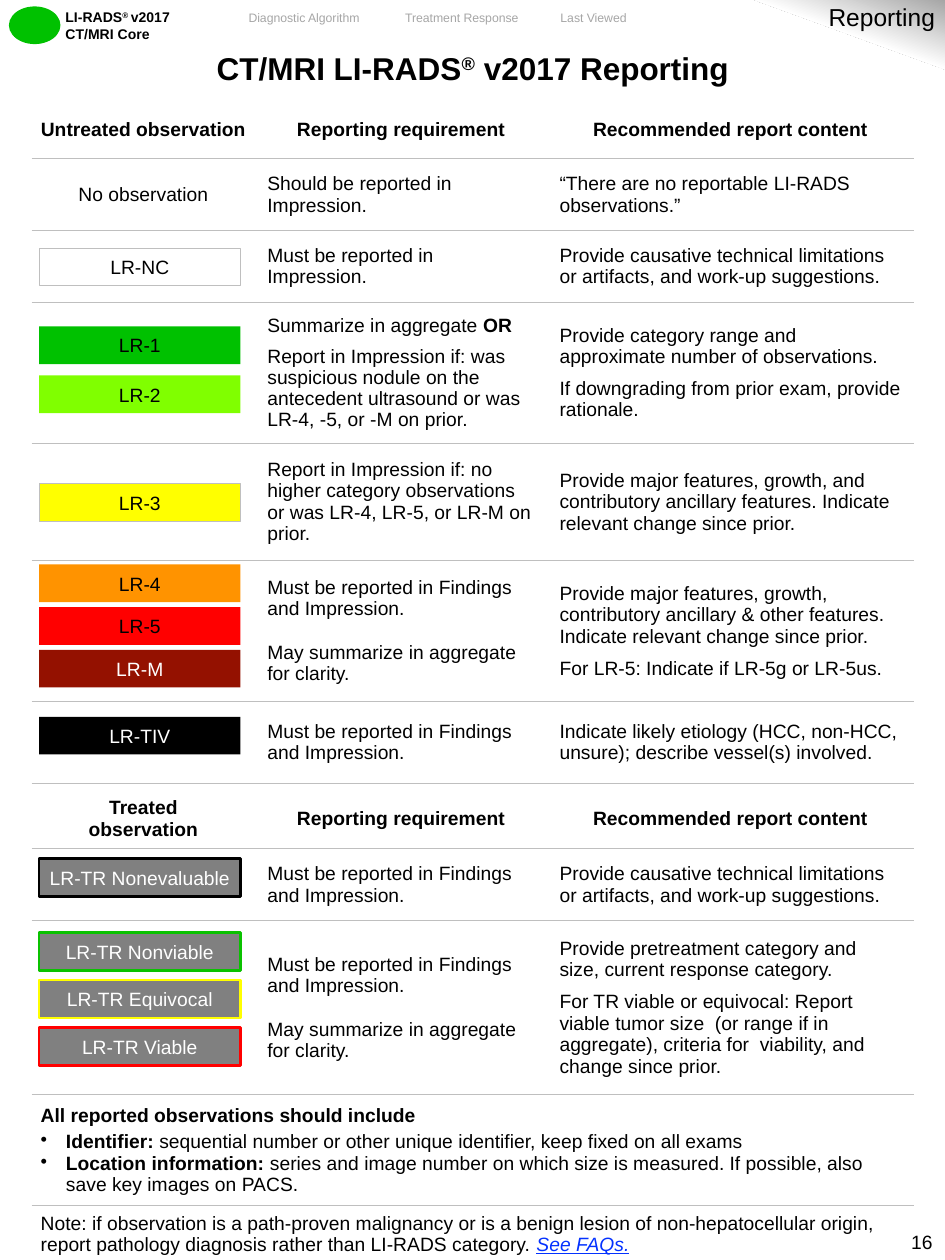
from lxml.etree import SubElement
from pptx import Presentation
from pptx.dml.color import RGBColor
from pptx.enum.shapes import MSO_SHAPE as Shape
from pptx.enum.text import MSO_ANCHOR as Anchor, PP_ALIGN as Align
from pptx.oxml.ns import qn
from pptx.util import Cm, Pt

COLORS = {
    "ink": "000000", "paper": "FFFFFF", "nav": "A6A6A6", "rule": "BFBFBF", "link": "0432FF",
    "green": "00C100", "lime": "80FF00", "yellow": "FFFF00", "orange": "FF9300",
    "red": "FF0000", "maroon": "941100", "gray": "808080", "edge green": "0AC200",
}
COLUMNS = [4.5, 5.89, 7.39]
BADGE_W, BADGE_H, BADGE_INSET = 4.06, 0.76, 0.15
BOLD = {"bold": True}


def rgb(name):
    return RGBColor.from_string(COLORS[name])


def para(*runs, before=0, after=0, line=None, bullet=False):
    """Describe a paragraph; a run is a string or a (string, format) pair."""
    return {"runs": runs, "before": before, "after": after, "line": line, "bullet": bullet}


def style_run(run, size, color, bold=False, italic=False, underline=False, raised=False):
    font = run.font
    font.name, font.size, font.bold = "Arial", Pt(size), bold
    font.italic, font.underline = italic, underline
    font.color.rgb = rgb(color)
    if raised:
        run._r.get_or_add_rPr().set("baseline", "30000")


def write(holder, *paragraphs, size=11, color="ink", bold=False, align=Align.LEFT,
          anchor=Anchor.MIDDLE, margins=(0.25, 0.13, 0.25, 0.13), wrap=True):
    """Fill a shape, text box or table cell; margins run left, top, right, bottom."""
    frame = holder.text_frame
    box = holder if hasattr(holder, "margin_left") else frame
    box.margin_left, box.margin_top, box.margin_right, box.margin_bottom = map(Cm, margins)
    box.vertical_anchor = anchor
    box.word_wrap = wrap
    for i, item in enumerate(paragraphs):
        item = para(item) if isinstance(item, str) else item
        line = frame.paragraphs[0] if i == 0 else frame.add_paragraph()
        line.alignment = align
        line.space_before, line.space_after = Pt(item["before"]), Pt(item["after"])
        if item["line"]:
            line.line_spacing = Pt(item["line"])
        if item["bullet"]:
            props = line._p.get_or_add_pPr()
            props.set("marL", str(Cm(0.51)))
            props.set("indent", str(-Cm(0.51)))
            SubElement(props, qn("a:buChar")).set("char", "•")
        for part in item["runs"]:
            words, extra = (part, {}) if isinstance(part, str) else part
            run = line.add_run()
            run.text = words
            style_run(run, **{"size": size, "color": color, "bold": bold, **extra})


def add_label(slide, box, *paragraphs, **options):
    write(slide.shapes.add_textbox(*map(Cm, box)), *paragraphs, **options)


def add_plain_shape(slide, kind, box, fill=None, line=None, width=0.25):
    shape = slide.shapes.add_shape(kind, *map(Cm, box))
    shape.shadow.inherit = False
    if fill:
        shape.fill.solid()
        shape.fill.fore_color.rgb = rgb(fill)
    if line:
        shape.line.color.rgb = rgb(line)
        shape.line.width = Pt(width)
    else:
        shape.line.fill.background()
    return shape


def badge(label, fill, color="ink", line=None, width=0.25):
    return {"label": label, "fill": fill, "color": color, "line": line, "width": width}


def treated(label, line):
    return badge(label, "gray", "paper", line, 1.5)


# Table content
FINDINGS = "Must be reported in Findings and Impression."
SUMMARIZE = para("May summarize in aggregate for clarity.", before=12.65)
LIMITATIONS = "Provide causative technical limitations or artifacts, and work-up suggestions."
REGISTERED = ("®", {"raised": True})


def header(height, *name):
    return {"height": height, "header": name,
            "cells": [["Reporting requirement"], ["Recommended report content"]]}


def category(height, requirement, content, badges=(), offset=0, pitch=0):
    return {"height": height, "cells": [requirement, content],
            "badges": badges, "offset": offset, "pitch": pitch}


def banner(height, *paragraphs, **options):
    return {"height": height, "banner": paragraphs, "options": options}


NOTE_MARGINS = (0.18, 0.13, 0.18, 0.13)
ROWS = [
    banner(1.14, para("CT/MRI LI-RADS", REGISTERED, " v2017 Reporting"), size=18, bold=True,
           align=Align.CENTER, margins=(0.25, 0, 0.25, 0.38)),
    header(1.04, "Untreated observation"),
    category(1.45, ["Should be reported in Impression."],
             ["“There are no reportable LI-RADS observations.”"]),
    category(1.45, ["Must be reported in", "Impression."], [LIMITATIONS],
             [badge("LR-NC", "paper", line="rule")], 0.35),
    category(2.84,
             [para("Summarize in aggregate ", ("OR", BOLD), after=6, line=12),
              para("Report in Impression if: was suspicious nodule on the antecedent ultrasound "
                   "or was LR-4, -5, or -M on prior.", after=6, line=12)],
             [para("Provide category range and approximate number of observations.",
                   after=6, line=12),
              para("If downgrading from prior exam, provide rationale.", after=6, line=12)],
             [badge("LR-1", "green"), badge("LR-2", "lime")], 0.48, 0.99),
    category(2.36, ["Report in Impression if: no higher category observations or was LR-4, LR-5, "
                    "or LR-M on prior."],
             ["Provide major features, growth, and contributory ancillary features. "
              "Indicate relevant change since prior."],
             [badge("LR-3", "yellow", line="rule")], 0.81),
    category(2.84, [FINDINGS, SUMMARIZE],
             ["Provide major features, growth, contributory ancillary & other features. "
              "Indicate relevant change since prior.",
              para("For LR-5: Indicate if LR-5g or LR-5us.", before=6)],
             [badge("LR-4", "orange"), badge("LR-5", "red"), badge("LR-M", "maroon", "paper")],
             0.08, 0.86),
    category(1.65, [FINDINGS],
             ["Indicate likely etiology (HCC, non-HCC, unsure); describe vessel(s) involved."],
             [badge("LR-TIV", "ink", "paper")], 0.31),
    header(1.32, "Treated", "observation"),
    category(1.45, [FINDINGS], [LIMITATIONS], [treated("LR-TR Nonevaluable", "ink")], 0.2),
    category(3.51, [FINDINGS, SUMMARIZE],
             ["Provide pretreatment category and size, current response category.",
              para("For TR viable or equivocal: Report viable tumor size  (or range if in "
                   "aggregate), criteria for  viability, and change since prior.", before=6)],
             [treated("LR-TR Nonviable", "edge green"), treated("LR-TR Equivocal", "yellow"),
              treated("LR-TR Viable", "red")], 0.24, 0.96),
    banner(2.24, para("All reported observations should include", after=3),
           para("Identifier: ", ("sequential number or other unique identifier, keep fixed on "
                                 "all exams", {"bold": False}), bullet=True),
           para("Location information: ",
                ("series and image number on which size is measured. If possible, also save key "
                 "images on PACS.", {"bold": False}), bullet=True),
           bold=True, margins=NOTE_MARGINS),
    banner(1.14, para("Note: if observation is a path-proven malignancy or is a benign lesion of "
                      "non-hepatocellular origin, report pathology diagnosis rather than LI-RADS "
                      "category. ",
                      ("See FAQs.", {"color": "link", "italic": True, "underline": True})),
           margins=NOTE_MARGINS),
]


def style_cell(cell, top, bottom):
    props = cell._tc.get_or_add_tcPr()
    for tag, ruled in (("lnL", False), ("lnR", False), ("lnT", top), ("lnB", bottom)):
        edge = SubElement(props, qn(f"a:{tag}"), w=str(Pt(0.5)))
        if ruled:
            fill = SubElement(edge, qn("a:solidFill"))
            SubElement(fill, qn("a:srgbClr"), val=COLORS["rule"])
        else:
            SubElement(edge, qn("a:noFill"))
    cell.fill.solid()
    cell.fill.fore_color.rgb = rgb("paper")


def add_badges(slide, left, top, row):
    for i, item in enumerate(row["badges"]):
        box = (left, top + row["offset"] + i * row["pitch"], BADGE_W, BADGE_H)
        shape = add_plain_shape(slide, Shape.RECTANGLE, box, item["fill"], item["line"],
                                item["width"])
        write(shape, item["label"], color=item["color"], align=Align.CENTER, margins=(0, 0, 0, 0))


def add_reporting_table(slide, left, top):
    size = (sum(COLUMNS), sum(row["height"] for row in ROWS))
    table = slide.shapes.add_table(len(ROWS), len(COLUMNS),
                                   *map(Cm, (left, top, *size))).table
    table.first_row = table.horz_banding = False
    for column, width in zip(table.columns, COLUMNS):
        column.width = Cm(width)
    last = len(ROWS) - 1
    for i, row in enumerate(ROWS):
        table.rows[i].height = Cm(row["height"])
        cells = [table.cell(i, j) for j in range(len(COLUMNS))]
        for cell in cells:
            style_cell(cell, top=i > 1, bottom=0 < i < last)
        if "banner" in row:
            cells[0].merge(cells[-1])
            write(cells[0], *row["banner"], **row["options"])
        elif "header" in row:
            space = 0.25 if i > 1 else 0
            for cell, words in zip(cells, [row["header"], *row["cells"]]):
                side = 0.18 if cell is cells[0] else 0
                write(cell, *words, bold=True, align=Align.CENTER,
                      margins=(side, space, side, 0.13))
        else:
            for cell, words in zip(cells[1:], row["cells"]):
                write(cell, *words, margins=(0.25,) * 4)
            if row["badges"]:
                add_badges(slide, left + BADGE_INSET, top, row)
            else:
                write(cells[0], "No observation", align=Align.CENTER)
        top += row["height"]


def add_page_header(slide, width):
    # Emblem and product line
    add_plain_shape(slide, Shape.OVAL, (0.18, 0.13, 1.04, 0.76), "green")
    add_label(slide, (1.14, 0.08, 3.28, 0.86), para("LI-RADS", ("® ", {"raised": True}), "v2017"),
              "CT/MRI Core", size=8, bold=True, anchor=Anchor.TOP,
              margins=(0.18, 0.1, 0.18, 0.1))
    # Navigation
    for left, span, words in ((4.67, 2.92, "Diagnostic Algorithm"),
                              (7.85, 2.92, "Treatment Response"), (11, 1.93, "Last Viewed")):
        add_label(slide, (left, 0.08, span, 0.56), words, size=7, color="nav",
                  align=Align.CENTER, wrap=False)
    # Shaded corner with section name
    corner = add_plain_shape(slide, Shape.RIGHT_TRIANGLE, (width - 3.84, 0, 3.84, 1.4))
    corner.rotation = 180
    corner.fill.gradient()
    corner.fill.gradient_angle = 70
    for stop, position, color in zip(corner.fill.gradient_stops, (0, 0.5), ("nav", "paper")):
        stop.position = position
        stop.color.rgb = rgb(color)
    add_label(slide, (width - 5.28, -0.08, 5.33, 0.86), "Reporting", size=14,
              align=Align.RIGHT, anchor=Anchor.TOP)


def main():
    deck = Presentation()
    width, height = 19.05, 25.4
    deck.slide_width, deck.slide_height = Cm(width), Cm(height)
    slide = deck.slides.add_slide(deck.slide_layouts[6])
    add_reporting_table(slide, 0.64, 1.02)
    add_page_header(slide, width)
    # Page number
    add_label(slide, (width - 1.24, height - 0.74, 1.24, 0.74), "16", align=Align.RIGHT)
    deck.save("out.pptx")


if __name__ == "__main__":
    main()
